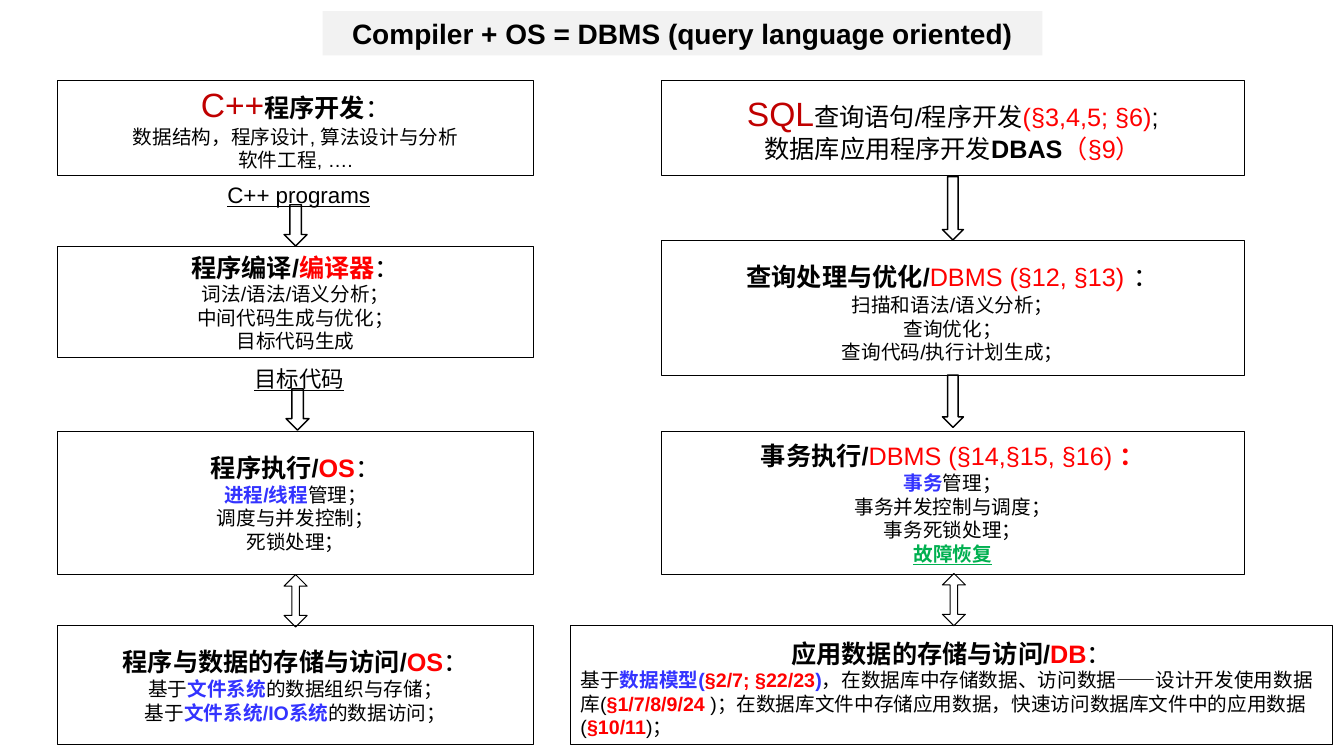
"""Build a slide comparing the C++ program life cycle with a DBMS."""
from pptx import Presentation
from pptx import util as u
from pptx.dml import color
from pptx.enum import shapes, text

BLACK, RED, DARK_RED, BLUE, GREEN = "000000", "FF0000", "C00000", "3333FF", "00B050"
CENTER, LEFT = text.PP_ALIGN.CENTER, text.PP_ALIGN.LEFT
STYLES = {
    "lead": (24, DARK_RED, False, False),
    "gap": (24, BLACK, False, False),
    "head": (18, BLACK, True, False),
    "head red": (18, RED, True, False),
    "plain": (18, BLACK, False, False),
    "plain red": (18, RED, False, False),
    "body": (14, BLACK, False, False),
    "blue": (14, BLUE, True, False),
    "red": (14, RED, True, False),
    "green": (14, GREEN, True, True),
    "label": (16, BLACK, False, True),
    "title": (20, BLACK, True, False),
}


def write(holder, lines, aligns=()):
    frame = holder.text_frame
    for index, line in enumerate(lines):
        paragraph = frame.paragraphs[0] if index == 0 else frame.add_paragraph()
        paragraph.alignment = aligns[index] if aligns else CENTER
        for style, words in line:
            run = paragraph.add_run()
            run.text = words
            size, shade, run.font.bold, run.font.underline = STYLES[style]
            run.font.size = u.Pt(size)
            run.font.name = "Arial"
            run.font.color.rgb = color.RGBColor.from_string(shade)


def outline(kind, left, top, width, height, weight=0.75):
    shape = slide.shapes.add_shape(kind, u.Cm(left), u.Cm(top), u.Cm(width), u.Cm(height))
    shape.shadow.inherit = False
    shape.fill.background()
    shape.line.color.rgb = color.RGBColor.from_string(BLACK)
    shape.line.width = u.Pt(weight)
    return shape


deck = Presentation()
deck.slide_width, deck.slide_height = u.Cm(33.87), u.Cm(19.05)
slide = deck.slides.add_slide(deck.slide_layouts[6])

captions = [
    (3.35, 4.45, 8.36, "C++ programs"),
    (4.39, 9.07, 6.3, "目标代码"),
]
for left, top, width, words in captions:
    caption = slide.shapes.add_textbox(u.Cm(left), u.Cm(top), u.Cm(width), u.Cm(0.94))
    caption.text_frame.word_wrap = True
    write(caption, [[("label", words)]])

program_stages = [
    (2.03, 2.39, [
        [("lead", "C++"), ("head", "程序开发"), ("plain", "：")],
        [("body", "数据结构，程序设计, 算法设计与分析")],
        [("body", "软件工程, ….")],
    ]),
    (6.22, 2.8, [
        [("head", "程序编译/"), ("head red", "编译器"), ("plain", "：")],
        [("body", "词法/语法/语义分析；")],
        [("body", "中间代码生成与优化；")],
        [("body", "目标代码生成")],
    ]),
    (10.87, 3.61, [
        [("head", "程序执行/"), ("head red", "OS"), ("plain", "：")],
        [("blue", "进程/线程"), ("body", "管理；")],
        [("body", "调度与并发控制；")],
        [("body", "死锁处理；")],
    ]),
    (15.77, 3, [
        [("head", "程序与数据的存储与访问/"), ("head red", "OS"), ("plain", "：")],
        [("body", "基于"), ("blue", "文件系统"), ("body", "的数据组织与存储；")],
        [("body", "基于"), ("blue", "文件系统/IO系统"), ("body", "的数据访问；")],
    ]),
]
database_stages = [
    (2.03, 2.39, [
        [("lead", "SQL"), ("plain", "查询语句/程序开发"),
         ("plain red", "(§3,4,5; §6)"), ("plain", ";")],
        [("plain", "数据库应用程序开发"), ("head", "DBAS"), ("plain red", "（§9）")],
    ]),
    (6.07, 3.4, [
        [("head", "查询处理与优化/"), ("plain red", "DBMS (§12, §13)"),
         ("gap", " "), ("plain", "：")],
        [("body", "扫描和语法/语义分析；")],
        [("body", "查询优化；")],
        [("body", "查询代码/执行计划生成；")],
    ]),
    (10.87, 3.61, [
        [("head", "事务执行/"), ("plain red", "DBMS (§14,§15, §16) "), ("head red", "：")],
        [("blue", "事务"), ("body", "管理；")],
        [("body", "事务并发控制与调度；")],
        [("body", "事务死锁处理；")],
        [("green", "故障恢复")],
    ]),
]
RECTANGLE = shapes.MSO_SHAPE.RECTANGLE
for left, width, stages in [(1.45, 12, program_stages), (16.66, 14.7, database_stages)]:
    for top, height, lines in stages:
        stage = outline(RECTANGLE, left, top, width, height)
        stage.text_frame.word_wrap = False
        stage.text_frame.vertical_anchor = text.MSO_ANCHOR.MIDDLE
        write(stage, lines)

outline(RECTANGLE, 14.38, 15.77, 19.2, 3)
storage = slide.shapes.add_textbox(u.Cm(14.38), u.Cm(15.95), u.Cm(19.2), u.Cm(2.82))
storage.text_frame.word_wrap = True
write(storage, [
    [("head", "应用数据的存储与访问/"), ("head red", "DB"), ("plain", "：")],
    [("body", "基于"), ("blue", "数据模型("), ("red", "§2/7; §22/23"), ("blue", ")"),
     ("body", "，在数据库中存储数据、访问数据——设计开发使用数据库("),
     ("red", "§1/7/8/9/24 "),
     ("body", ")；在数据库文件中存储应用数据，快速访问数据库文件中的应用数据("),
     ("red", "§10/11"), ("body", ")；")],
], [CENTER, LEFT])

title = outline(RECTANGLE, 8.13, 0.28, 18.14, 1.12)
title.fill.solid()
title.fill.fore_color.rgb = color.RGBColor.from_string("F2F2F2")
title.line.fill.background()
write(title, [[("title", "Compiler + OS = DBMS (query language oriented)")]])

for left, top in [(7.16, 14.48), (23.75, 14.45)]:
    exchange = outline(shapes.MSO_SHAPE.UP_DOWN_ARROW, left, top, 0.58, 1.32)
    exchange.adjustments[0] = 0.5
    exchange.adjustments[1] = 0.33

flows = [
    (23.75, 4.45, 0.53, 1.6),
    (23.75, 9.45, 0.53, 1.32),
    (7.16, 5.16, 0.58, 1.04),
    (7.21, 9.8, 0.58, 1.04),
]
for left, top, width, height in flows:
    outline(shapes.MSO_SHAPE.DOWN_ARROW, left, top, width, height, 1)

deck.save("out.pptx")
